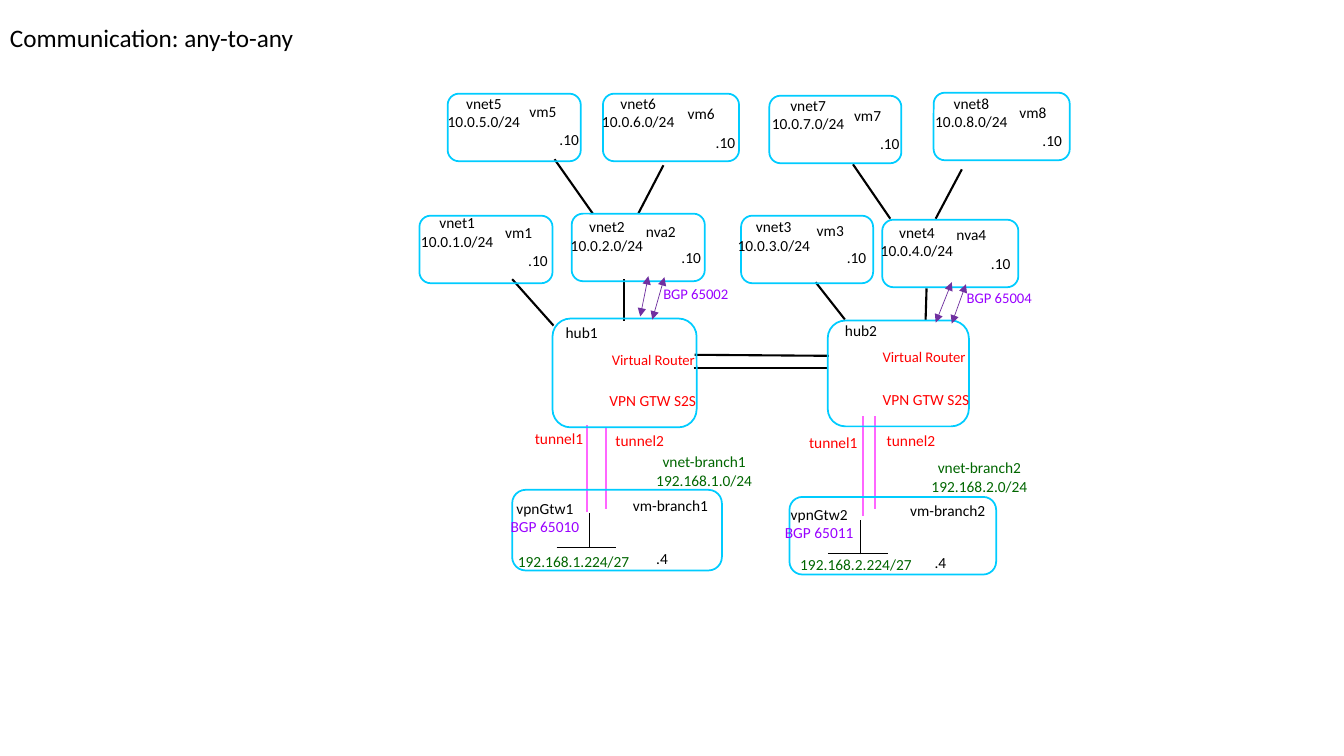
from lxml import etree
from pptx import Presentation
from pptx.dml.color import RGBColor
from pptx.enum.shapes import MSO_CONNECTOR, MSO_SHAPE
from pptx.enum.text import MSO_ANCHOR, PP_ALIGN
from pptx.oxml.ns import qn
from pptx.util import Inches, Pt

STRAIGHT = MSO_CONNECTOR.STRAIGHT
ROUNDED = MSO_SHAPE.FLOWCHART_ALTERNATE_PROCESS
TOP = MSO_ANCHOR.TOP
LEFT = PP_ALIGN.LEFT
CENTER = PP_ALIGN.CENTER

BLACK = RGBColor(0x00, 0x00, 0x00)
CYAN = RGBColor(0x00, 0xCC, 0xFF)
PINK = RGBColor(0xFF, 0x66, 0xFF)
RED = RGBColor(0xFF, 0x00, 0x00)
GREEN = RGBColor(0x00, 0x66, 0x00)
VIOLET = RGBColor(0x99, 0x00, 0xFF)
PURPLE = RGBColor(0x70, 0x30, 0xA0)

# number, box (left, top, width), label (left, top, width), host, host place, address place
VNETS = [
    (1, (4.16, 2.14, 1.32), (4.07, 2.07, 0.93), "vm1", (4.91, 2.16, 0.47), (5.14, 2.44)),
    (2, (5.67, 2.12, 1.32), (5.43, 2.11, 1.18), "nva2", (6.29, 2.15, 0.53), (6.66, 2.41)),
    (3, (7.35, 2.14, 1.31), (7.21, 2.11, 0.93), "vm3", (8, 2.14, 0.47), (8.3, 2.41)),
    (4, (8.75, 2.18, 1.35), (8.63, 2.16, 0.93), "nva4", (9.37, 2.18, 0.53), (9.73, 2.47)),
    (5, (4.44, 0.93, 1.32), (4.27, 0.88, 1.06), "vm5", (5.15, 0.96, 0.47), (5.45, 1.24)),
    (6, (5.98, 0.93, 1.35), (5.79, 0.88, 1.08), "vm6", (6.72, 0.98, 0.47), (7, 1.27)),
    (7, (7.63, 0.95, 1.31), (7.49, 0.9, 1.05), "vm7", (8.37, 1, 0.47), (8.63, 1.28)),
    (8, (9.26, 0.92, 1.35), (9.17, 0.88, 0.93), "vm8", (10.01, 0.97, 0.47), (10.24, 1.25)),
]

BOXES = [
    (5.48, 3.16, 1.43, 1.08), (8.21, 3.18, 1.4, 1.05),
    (5.08, 4.86, 2.08, 0.8), (7.83, 4.93, 2.05, 0.77),
]

LINKS = [
    (5.08, 2.77, 5.49, 3.23), (6.19, 2.77, 6.19, 3.18),
    (5.5, 1.58, 5.88, 2.12), (6.58, 1.64, 6.33, 2.12),
    (8.09, 2.8, 8.38, 3.17), (9.19, 2.86, 9.18, 3.18),
    (8.46, 1.63, 8.83, 2.17), (9.54, 1.68, 9.28, 2.17),
    (6.88, 3.65, 8.21, 3.65), (6.89, 3.52, 8.22, 3.53),
]

TUNNELS = [
    (5.82, 4.22, 5.82, 5.08), (6.01, 4.24, 6.01, 5.05),
    (8.56, 4.13, 8.56, 5.12), (8.68, 4.13, 8.68, 5.05),
]

PEERS = [
    (6.43, 2.74, 6.35, 3.14), (6.59, 2.75, 6.47, 3.17),
    (9.44, 2.8, 9.28, 3.2), (9.58, 2.82, 9.44, 3.21),
]

SUBNETS = [
    (5.52, 5.43, 6.11, 5.43), (5.84, 5.43, 5.84, 5.09),
    (8.21, 5.49, 8.81, 5.49), (8.53, 5.5, 8.53, 5.16),
]

LABELS = [
    ("hub1", (5.51, 3.16, 0.52), BLACK), ("hub2", (8.28, 3.14, 0.52), BLACK),
    ("VPN GTW S2S", (5.94, 3.83, 1.07), RED), ("VPN GTW S2S", (8.65, 3.82, 1.07), RED),
    ("tunnel1", (5.2, 4.21, 0.69), RED), ("tunnel2", (6, 4.23, 0.69), RED),
    ("tunnel1", (7.92, 4.25, 0.69), RED), ("tunnel2", (8.69, 4.23, 0.69), RED),
    ("vm-branch1", (6.17, 4.87, 0.96), BLACK), ("vm-branch2", (8.92, 4.92, 0.96), BLACK),
    ("vnet-branch1\n192.168.1.0/24", (6.4, 4.44, 1.17), GREEN),
    ("vnet-branch2\n192.168.2.0/24", (9.13, 4.5, 1.17), GREEN),
    ("192.168.1.224/27", (5.03, 5.43, 1.32), GREEN),
    ("192.168.2.224/27", (7.83, 5.46, 1.32), GREEN),
]

GATEWAYS = [
    ("vpnGtw1\nBGP 65010", (4.96, 4.9, 0.89)),
    ("vpnGtw2\nBGP 65011", (7.68, 4.96, 0.89)),
]


def add_text(slide, text, place, size=11, color=BLACK, last=None, align=CENTER, wrap=False):
    left, top, width = place
    lines = text.split("\n")
    height = 0.1 + len(lines) * size * 0.017
    box = slide.shapes.add_textbox(Inches(left), Inches(top), Inches(width), Inches(height))
    frame = box.text_frame
    frame.word_wrap = wrap
    frame.vertical_anchor = TOP
    frame.text = text
    for part in frame.paragraphs:
        part.alignment = align
        part.font.name = "Calibri"
        part.font.size = Pt(size)
        part.font.color.rgb = color
    if last is not None:
        frame.paragraphs[-1].font.color.rgb = last


def add_box(slide, left, top, width, height):
    box = slide.shapes.add_shape(ROUNDED, Inches(left), Inches(top), Inches(width), Inches(height))
    box.shadow.inherit = False
    box.fill.background()
    box.line.color.rgb = CYAN
    box.line.width = Pt(1.25)


def add_line(slide, ends, color=BLACK, width=1.5, arrows=False):
    line = slide.shapes.add_connector(STRAIGHT, *[Inches(end) for end in ends])
    line.line.color.rgb = color
    line.line.width = Pt(width)
    props = line._element.spPr
    if arrows:
        for tag in ("a:headEnd", "a:tailEnd"):
            etree.SubElement(props.find(qn("a:ln")), qn(tag), type="triangle")
    etree.SubElement(props, qn("a:effectLst"))


def add_vnet(slide, number, box, label, host, spot, address):
    add_box(slide, *box, 0.67)
    add_text(slide, f"vnet{number}\n10.0.{number}.0/24", label)
    add_text(slide, host, spot)
    add_text(slide, ".10", (*address, 0.48), align=LEFT, wrap=True)


def main():
    deck = Presentation()
    deck.slide_width = Inches(13.33)
    deck.slide_height = Inches(7.5)
    slide = deck.slides.add_slide(deck.slide_layouts[6])

    add_text(slide, "Communication: any-to-any", (0, 0.17, 3.05), size=18, align=LEFT)
    for ends in LINKS:
        add_line(slide, ends)
    for ends in TUNNELS:
        add_line(slide, ends, color=PINK)
    for box in BOXES:
        add_box(slide, *box)
    for vnet in VNETS:
        add_vnet(slide, *vnet)
    for ends in PEERS:
        add_line(slide, ends, color=PURPLE, width=0.5, arrows=True)
    for ends in SUBNETS:
        add_line(slide, ends, width=0.25)
    for text, place, color in LABELS:
        add_text(slide, text, place, color=color)
    for text, place in GATEWAYS:
        add_text(slide, text, place, last=VIOLET)
    for place in ((5.94, 3.43, 1.08), (8.64, 3.4, 1.05)):
        add_text(slide, "Virtual Router", place, size=10.5, color=RED)
    for text, place in (("BGP 65002", (6.48, 2.78, 0.95)), ("BGP 65004", (9.49, 2.82, 1.13))):
        add_text(slide, text, place, size=10.5, color=VIOLET, align=LEFT, wrap=True)
    for place in ((6.41, 5.4, 0.48), (9.17, 5.44, 0.48)):
        add_text(slide, ".4", place, align=LEFT, wrap=True)

    deck.save("out.pptx")


if __name__ == "__main__":
    main()
